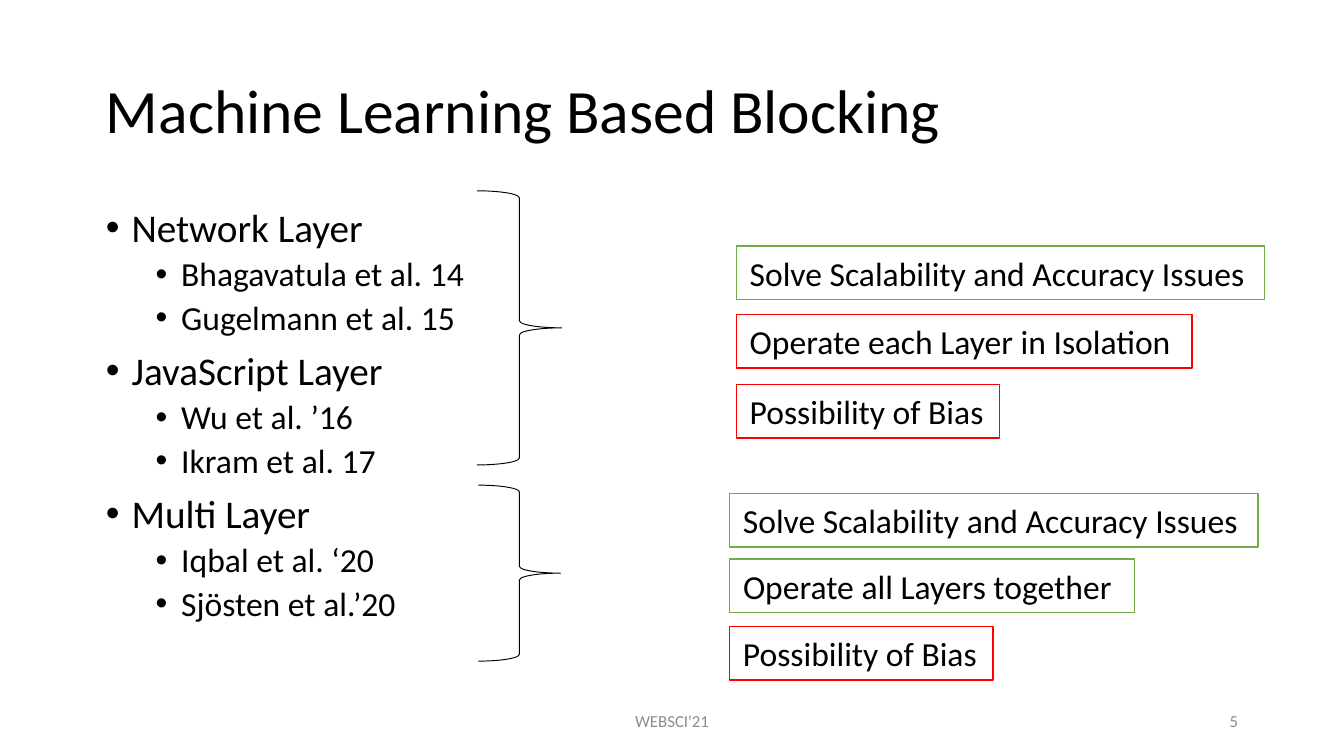
"""Build the slide on machine learning based blocking."""
import lxml.etree
import pptx
import pptx.dml.color
import pptx.enum.shapes
import pptx.enum.text
import pptx.oxml.ns
import pptx.util

WIDTH = 10
HEIGHT = WIDTH * 9 / 16
FONT, BLACK, GREY, GOOD, BAD = "Calibri", "000000", "8C8C8C", "70AD47", "FF0000"
ALIGN = pptx.enum.text.PP_ALIGN
ANCHOR = pptx.enum.text.MSO_ANCHOR
SHAPE = pptx.enum.shapes.MSO_SHAPE

TITLE = "Machine Learning Based Blocking"
LAYERS = [
    ("Network Layer", ["Bhagavatula et al. 14", "Gugelmann et al. 15"]),
    ("JavaScript Layer", ["Wu et al. ’16", "Ikram et al. 17"]),
    ("Multi Layer", ["Iqbal et al. ‘20", "Sjösten et al.’20"]),
]
FINDINGS = [
    {"brace": (3.55, 1.42, 0.63, 2.04), "left": 5.48,
     "claims": [("Solve Scalability and Accuracy Issues", GOOD, 1.83, 3.93),
                ("Operate each Layer in Isolation", BAD, 2.34, 3.39),
                ("Possibility of Bias", BAD, 2.86, 1.96)]},
    {"brace": (3.56, 3.61, 0.61, 1.31), "left": 5.43,
     "claims": [("Solve Scalability and Accuracy Issues", GOOD, 3.67, 3.93),
                ("Operate all Layers together", GOOD, 4.16, 3.01),
                ("Possibility of Bias", BAD, 4.66, 1.96)]},
]
FOOTER = [("WEBSCI'21", 3.31, 3.38, ALIGN.CENTER), ("5", 7.06, 2.25, ALIGN.RIGHT)]
MARGIN, CLAIM_HEIGHT = 0.69, 0.4
LEVELS = [{"size": 21, "before": 7.5, "indent": 0.19},
          {"size": 18, "before": 3.8, "indent": 0.56}]


def rgb(value):
    """Turn a hex string into a colour."""
    return pptx.dml.color.RGBColor.from_string(value)


def inches(*lengths):
    """Turn numbers into lengths in inches."""
    return [pptx.util.Inches(length) for length in lengths]


def write(paragraph, text, size=18, color=BLACK, align=ALIGN.LEFT, spacing=None,
          before=None, indent=None):
    """Fill a paragraph; an indent also gives it a bullet."""
    run = paragraph.add_run()
    run.text = text
    run.font.size, run.font.name = pptx.util.Pt(size), FONT
    run.font.color.rgb = rgb(color)
    paragraph.alignment = align
    if spacing:
        paragraph.line_spacing = spacing
    if before:
        paragraph.space_before = pptx.util.Pt(before)
    if indent:
        properties = paragraph._p.get_or_add_pPr()
        properties.set("marL", str(pptx.util.Inches(indent)))
        properties.set("indent", str(pptx.util.Inches(-0.19)))
        for tag, attribute, value in (("a:buFont", "typeface", "Arial"),
                                      ("a:buChar", "char", "•")):
            lxml.etree.SubElement(properties, pptx.oxml.ns.qn(tag)).set(attribute, value)


def add_frame(slide, box, anchor=ANCHOR.MIDDLE):
    """Add a wrapping text box and return its text frame."""
    frame = slide.shapes.add_textbox(*inches(*box)).text_frame
    frame.word_wrap, frame.vertical_anchor = True, anchor
    return frame


def add_outline(slide, kind, box, color, weight, fill=None):
    """Add an outlined preset shape."""
    shape = slide.shapes.add_shape(kind, *inches(*box))
    shape.shadow.inherit = False
    shape.line.color.rgb, shape.line.width = rgb(color), pptx.util.Pt(weight)
    if fill:
        shape.fill.solid()
        shape.fill.fore_color.rgb = rgb(fill)
    else:
        shape.fill.background()
    return shape


def add_layers(slide):
    """Add the bulleted list of layers and papers."""
    frame = add_frame(slide, (MARGIN, 1.5, WIDTH - 2 * MARGIN, 3.57), ANCHOR.TOP)
    entries = [(text, level) for layer, papers in LAYERS
               for text, level in [(layer, 0)] + [(paper, 1) for paper in papers]]
    for number, (text, level) in enumerate(entries):
        paragraph = frame.add_paragraph() if number else frame.paragraphs[0]
        paragraph.level = level
        write(paragraph, text, spacing=0.9, **LEVELS[level])


def add_findings(slide, brace, left, claims):
    """Add a brace and its column of outlined claims."""
    add_outline(slide, SHAPE.RIGHT_BRACE, brace, BLACK, 0.5)
    for text, color, top, width in claims:
        box = (left, top, width, CLAIM_HEIGHT)
        frame = add_outline(slide, SHAPE.RECTANGLE, box, color, 0.75, "FFFFFF").text_frame
        frame.word_wrap = False
        frame.auto_size = pptx.enum.text.MSO_AUTO_SIZE.SHAPE_TO_FIT_TEXT
        write(frame.paragraphs[0], text)


def main():
    """Build and save the slide."""
    deck = pptx.Presentation()
    deck.slide_width, deck.slide_height = inches(WIDTH, HEIGHT)
    slide = deck.slides.add_slide(deck.slide_layouts[6])
    title = add_frame(slide, (MARGIN, 0.3, WIDTH - 2 * MARGIN, 1.09))
    write(title.paragraphs[0], TITLE, size=33, spacing=0.9)
    add_layers(slide)
    for group in FINDINGS:
        add_findings(slide, **group)
    for text, left, width, align in FOOTER:
        frame = add_frame(slide, (left, 5.21, width, 0.3))
        write(frame.paragraphs[0], text, size=9, color=GREY, align=align)
    deck.save("out.pptx")


if __name__ == "__main__":
    main()
